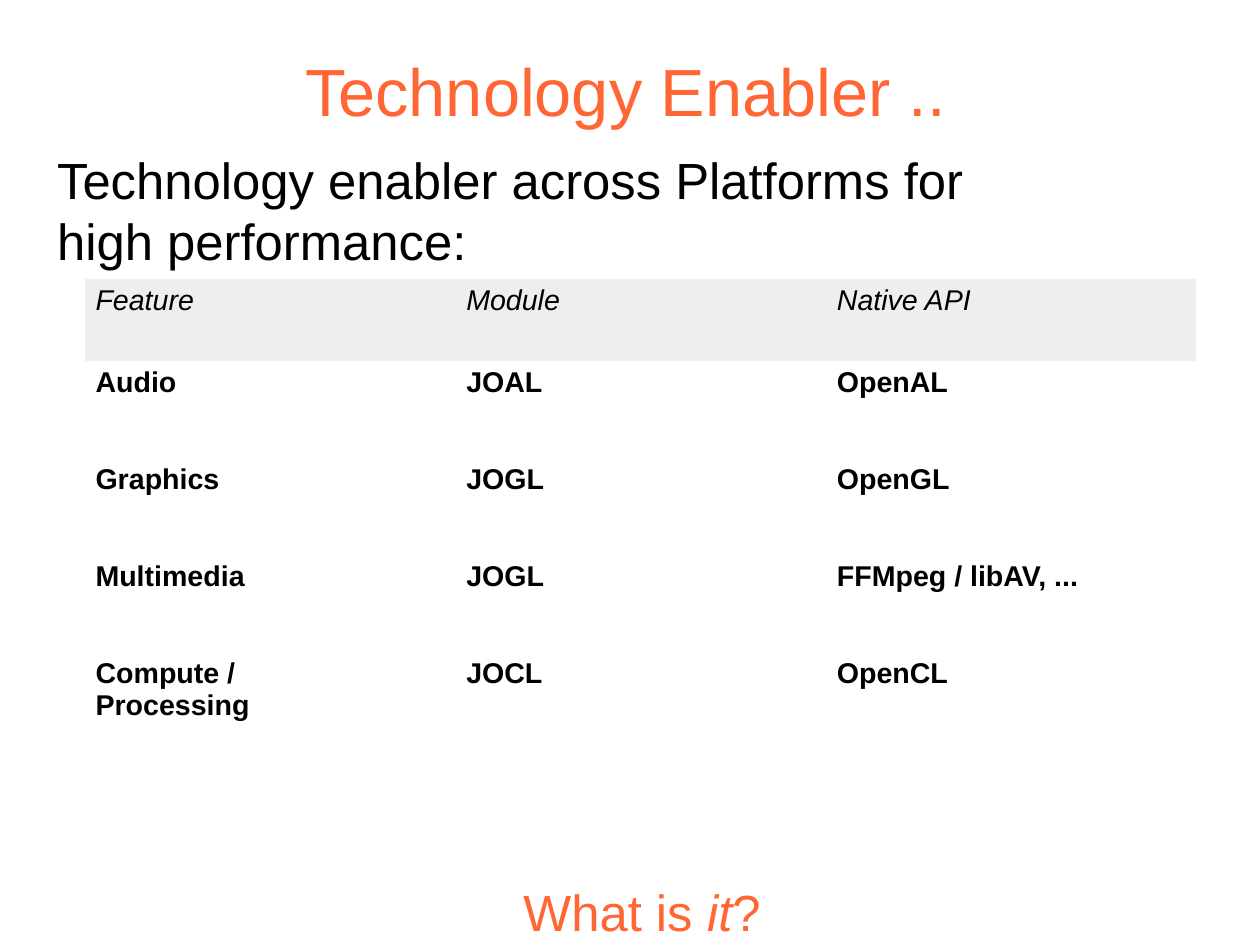
from lxml import etree
from pptx import Presentation
from pptx.dml.color import RGBColor
from pptx.enum import text as t
from pptx.oxml import ns
from pptx.util import Pt

COLORS = {"accent": "FF6633", "ink": "000000", "header": "EEEEEE", "border": "FFFFFF"}
FEATURES = [
    ("Feature", "Module", "Native API"),
    ("Audio", "JOAL", "OpenAL"),
    ("Graphics", "JOGL", "OpenGL"),
    ("Multimedia", "JOGL", "FFMpeg / libAV, ..."),
    ("Compute /\nProcessing", "JOCL", "OpenCL"),
]


def write(frame, wording, size=18, color="ink", bold=False, italic=False):
    paragraph = frame.paragraphs[0]
    for number, line in enumerate(wording.split("\n")):
        if number:
            paragraph.add_line_break()
        run = paragraph.add_run()
        run.text = line
        run.font.name = "Arial"
        run.font.size = Pt(size)
        run.font.bold = bold
        run.font.italic = italic
        run.font.color.rgb = RGBColor.from_string(COLORS[color])
    return paragraph


def set_margins(frame, horizontal, vertical):
    frame.margin_left = frame.margin_right = Pt(horizontal)
    frame.margin_top = frame.margin_bottom = Pt(vertical)


def add_title(slide, left, top, width, height):
    title = slide.shapes.title
    title.left, title.top = Pt(left), Pt(top)
    title.width, title.height = Pt(width), Pt(height)
    frame = title.text_frame
    set_margins(frame, 0, 0)
    frame.vertical_anchor = t.MSO_ANCHOR.MIDDLE
    write(frame, "Technology Enabler ..", size=42, color="accent").alignment = t.PP_ALIGN.CENTER


def add_introduction(slide, left, top, width, height):
    introduction = slide.shapes.add_textbox(Pt(left), Pt(top), Pt(width), Pt(height))
    frame = introduction.text_frame
    frame.word_wrap = True
    set_margins(frame, 0, 0)
    paragraph = write(frame, "Technology enabler across Platforms for\nhigh performance:", size=32)
    paragraph.space_after = Pt(14.2)


def add_borders(cell, hidden_sides):
    properties = cell._tc.get_or_add_tcPr()
    for side in ("lnL", "lnR", "lnT", "lnB"):
        border = etree.SubElement(properties, ns.qn(f"a:{side}"), w=str(Pt(0.06)))
        if side in hidden_sides:
            etree.SubElement(border, ns.qn("a:noFill"))
        else:
            fill = etree.SubElement(border, ns.qn("a:solidFill"))
            etree.SubElement(fill, ns.qn("a:srgbClr"), val=COLORS["border"])


def add_features(slide, left, top, width, header_height, row_height):
    height = header_height + row_height * (len(FEATURES) - 1)
    features = slide.shapes.add_table(
        len(FEATURES), len(FEATURES[0]), Pt(left), Pt(top), Pt(width), Pt(height)
    ).table
    features.first_row = features.horz_banding = False
    header_inner_sides = (("lnR",), ("lnL", "lnR"), ("lnL",))
    for row_number, wordings in enumerate(FEATURES):
        is_header = row_number == 0
        features.rows[row_number].height = Pt(header_height if is_header else row_height)
        for column_number, wording in enumerate(wordings):
            cell = features.cell(row_number, column_number)
            set_margins(cell, 7.2, 3.6)
            add_borders(cell, header_inner_sides[column_number] if is_header else ())
            if is_header:
                cell.fill.solid()
                cell.fill.fore_color.rgb = RGBColor.from_string(COLORS["header"])
            else:
                cell.fill.background()
            write(cell.text_frame, wording, bold=not is_header, italic=is_header)


def add_question(slide, left, top, width, height):
    question = slide.shapes.add_textbox(Pt(left), Pt(top), Pt(width), Pt(height))
    frame = question.text_frame
    frame.word_wrap = False
    set_margins(frame, 7.2, 3.6)
    for wording, italic in (("What is ", False), ("it", True), ("?", False)):
        write(frame, wording, size=32, color="accent", italic=italic)


def main():
    deck = Presentation()
    deck.slide_width, deck.slide_height = Pt(793.75), Pt(595.25)
    slide = deck.slides.add_slide(deck.slide_layouts[5])
    add_title(slide, 32.4, 23.4, 723.6, 66.2)
    add_introduction(slide, 36, 93.6, 691.2, 86.4)
    add_features(slide, 53, 175.4, 700.6, header_height=51.8, row_height=61.2)
    add_question(slide, 322.6, 551.5, 164.2, 43.2)
    deck.save("out.pptx")


if __name__ == "__main__":
    main()
